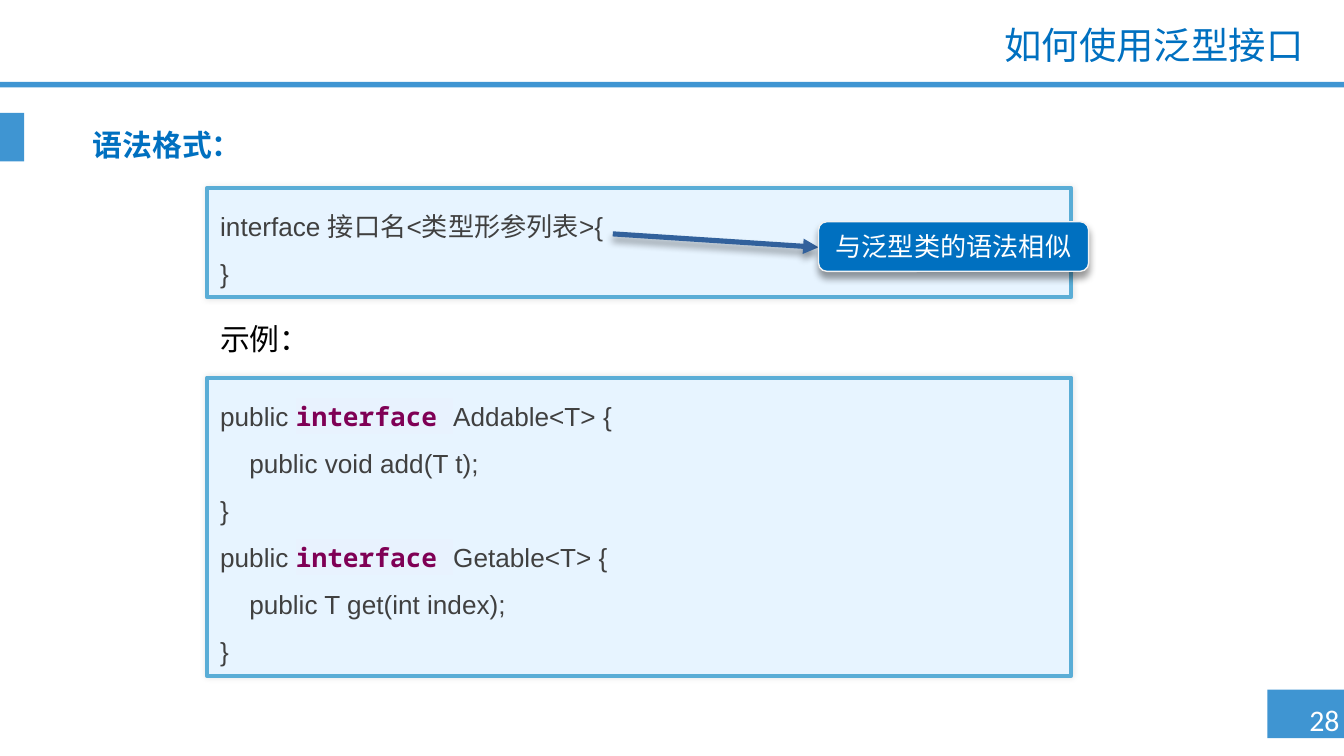
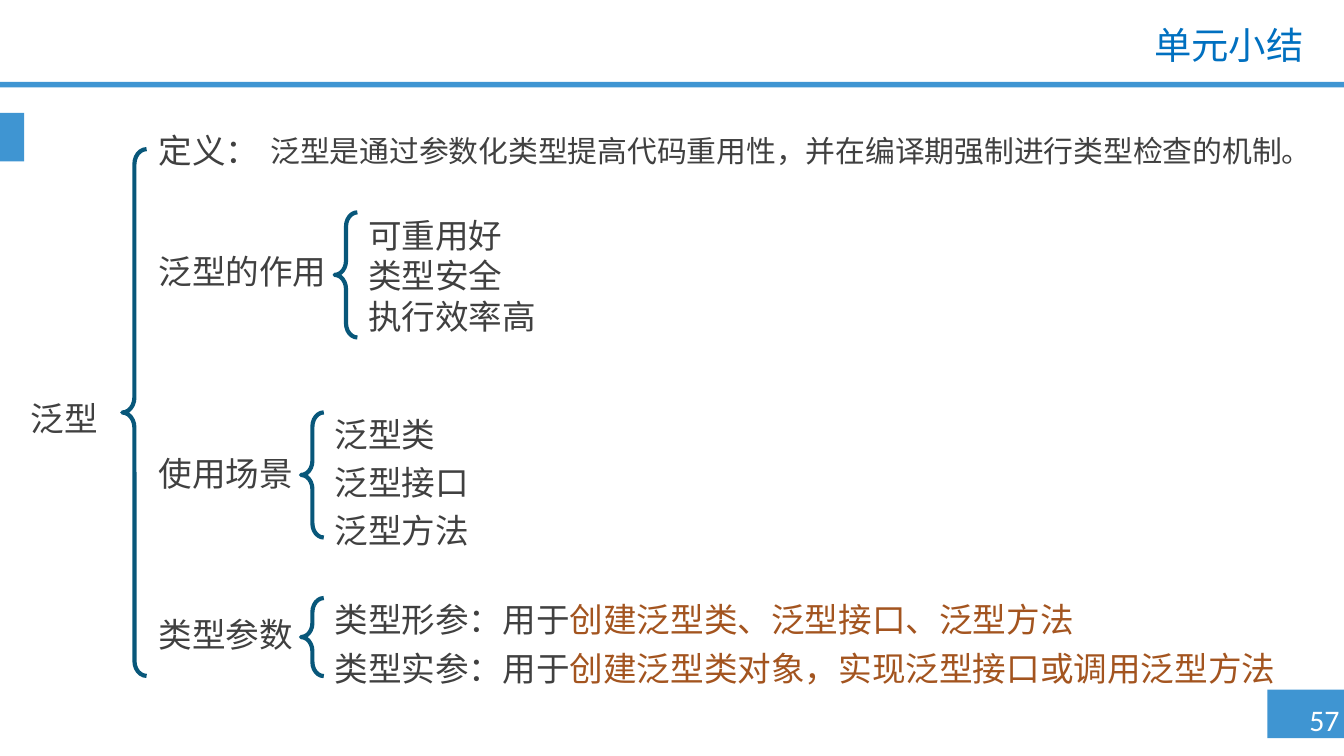
from lxml import etree
from pptx import Presentation
from pptx.dml.color import RGBColor
from pptx.enum.shapes import MSO_CONNECTOR, MSO_SHAPE
from pptx.enum.text import MSO_ANCHOR, MSO_AUTO_SIZE, PP_ALIGN
from pptx.oxml.ns import qn
from pptx.util import Pt

RECTANGLE = MSO_SHAPE.RECTANGLE
ROUNDED = MSO_SHAPE.ROUNDED_RECTANGLE
LEFT_BRACE = MSO_SHAPE.LEFT_BRACE
STRAIGHT = MSO_CONNECTOR.STRAIGHT
TOP, MIDDLE = MSO_ANCHOR.TOP, MSO_ANCHOR.MIDDLE
LEFT, CENTER, RIGHT = PP_ALIGN.LEFT, PP_ALIGN.CENTER, PP_ALIGN.RIGHT
NO_AUTOFIT = MSO_AUTO_SIZE.NONE

BAND = "3F95D2"
ACCENT = "0070C0"
INK = "404040"
WHITE = "FFFFFF"
PANEL_FILL, PANEL_LINE = "E7F4FF", "5AADD6"
KEYWORD, KEYWORD_BACK = "7F0055", "E8F2FE"
BRACE = "08577A"
ARROW = "32619C"
EMPHASIS = "A3541F"

GLOW = {"alpha": 10, "blur": 3, "distance": 0, "angle": 0}
DROP = {"alpha": 40, "blur": 4, "distance": 3, "angle": 90}

TITLE_ONLY, TITLE_AND_SUBTITLE = 5, 0
CODE_INDENT = 15.6
LABEL_TOP, LABEL_STEP = 66.2, 21.6


def color(value):
    """Turn a hex string into a colour."""
    return RGBColor.from_string(value)


def place(shape, box):
    """Move a shape to a box of left, top, width and height."""
    shape.left, shape.top, shape.width, shape.height = map(Pt, box)


def cast_shadow(effects, shadow):
    """Add an outer shadow to an effect list."""
    outer = etree.SubElement(
        effects, qn("a:outerShdw"), blurRad=str(Pt(shadow["blur"])),
        dist=str(Pt(shadow["distance"])), dir=str(shadow["angle"] * 60000),
        algn="ctr", rotWithShape="0")
    black = etree.SubElement(outer, qn("a:srgbClr"), val="000000")
    etree.SubElement(black, qn("a:alpha"), val=str(shadow["alpha"] * 1000))


def set_font(font, size=None, fill=None, name=None, bold=None):
    """Set the given traits of a paragraph or run font."""
    if size:
        font.size = Pt(size)
    if fill:
        font.color.rgb = color(fill)
    if name:
        font.name = name
    if bold is not None:
        font.bold = bold


def highlight(run, value):
    """Put a highlight colour behind a run."""
    mark = etree.Element(qn("a:highlight"))
    etree.SubElement(mark, qn("a:srgbClr"), val=value)
    run.font.fill._xPr.find(qn("a:solidFill")).addnext(mark)


def write(shape, lines, size, fill=INK, name="Arial", bold=False, align=LEFT,
          anchor=TOP, spacing=1.0, before=0, wrap=True):
    """Write lines, each a string or a list of (text, style) runs."""
    frame = shape.text_frame
    frame.auto_size = NO_AUTOFIT
    frame.word_wrap = wrap
    frame.vertical_anchor = anchor
    for index, line in enumerate(lines):
        paragraph = frame.add_paragraph() if index else frame.paragraphs[0]
        paragraph.alignment = align
        paragraph.line_spacing = spacing
        paragraph.space_before = Pt(before)
        set_font(paragraph.font, size, fill, name, bold)
        for text, style in [(line, {})] if isinstance(line, str) else line:
            run = paragraph.add_run()
            run.text = text
            set_font(run.font, **style)


def add_text(slide, box, lines, size, **style):
    """Add a text box."""
    shape = slide.shapes.add_textbox(*map(Pt, box))
    write(shape, lines, size, **style)
    return shape


def add_box(slide, kind, box, fill=None, line=None, width=0, shadow=None):
    """Add a preset shape with its fill, outline and shadow."""
    shape = slide.shapes.add_shape(kind, *map(Pt, box))
    if fill:
        shape.fill.solid()
        shape.fill.fore_color.rgb = color(fill)
    else:
        shape.fill.background()
    if line:
        shape.line.color.rgb = color(line)
        shape.line.width = Pt(width)
    else:
        shape.line.fill.background()
    shape.shadow.inherit = False
    if shadow:
        cast_shadow(shape._element.spPr.find(qn("a:effectLst")), shadow)
    return shape


def add_code_panel(slide, top, height, lines):
    """Add a light panel that holds lines of code."""
    panel = add_box(slide, ROUNDED, (110.9, top, 463, height),
                    PANEL_FILL, PANEL_LINE, 2.25, GLOW)
    panel.adjustments[0] = 0
    write(panel, lines, 14, spacing=1.5)
    return panel


def add_brace(slide, box):
    """Add a left brace."""
    brace = add_box(slide, LEFT_BRACE, box, line=BRACE, width=2.25)
    brace.adjustments[0], brace.adjustments[1] = 0.62, 0.5


def add_arrow(slide, start, end):
    """Add a straight arrow between two points."""
    arrow = slide.shapes.add_connector(STRAIGHT, *map(Pt, start + end))
    arrow.line.color.rgb = color(ARROW)
    arrow.line.width = Pt(2.75)
    etree.SubElement(arrow.line._get_or_add_ln(), qn("a:tailEnd"), type="triangle")
    cast_shadow(etree.SubElement(arrow._element.spPr, qn("a:effectLst")), DROP)


def add_page(presentation, layout, title, number):
    """Add a slide with its bands, number and title."""
    slide = presentation.slides.add_slide(presentation.slide_layouts[layout])
    for box in ((679, 369.4, 41, 26), (0, 43.9, 720, 2.9), (0, 60.5, 13, 26)):
        add_box(slide, RECTANGLE, box, BAND)
    add_text(slide, (692.6, 372.2, 37.4, 26.6), [f"{number} "], 16,
             fill=WHITE, name="Calibri", align=CENTER, wrap=False)
    place(slide.shapes.title, (172.8, 10.8, 532.8, 28.8))
    write(slide.shapes.title, [title], 20, fill=ACCENT, align=RIGHT,
          anchor=MIDDLE, spacing=0.9)
    return slide


def interface_code(name, method):
    """Give the code lines of one generic interface."""
    keyword = {"name": "Noto Sans Mono", "fill": KEYWORD, "bold": True}
    return [[("public ", {}), ("interface ", keyword), (f"{name}<T> {{", {})],
            method, "}"]


def build_interface_slide(presentation):
    """Build the slide on generic interface syntax."""
    slide = add_page(presentation, TITLE_AND_SUBTITLE, "如何使用泛型接口", 28)
    subtitle = slide.placeholders[1]
    place(subtitle, (42.5, 66.2, 589.7, 28.1))
    write(subtitle, ["语法格式："], 16, fill=ACCENT, name="Noto Sans CJK SC",
          bold=True, spacing=0.9, before=10)

    add_code_panel(slide, 100.8, 58.3, ["interface 接口名<类型形参列表>{", "}"])
    code = (interface_code("Addable", "public void add(T t);")
            + interface_code("Getable", "public T get(int index);"))
    panel = add_code_panel(slide, 202.3, 159.8, code)
    paragraphs = panel.text_frame.paragraphs
    for first in (0, 3):
        highlight(paragraphs[first].runs[1], KEYWORD_BACK)
        paragraphs[first + 1]._p.get_or_add_pPr().set("marL", str(Pt(CODE_INDENT)))

    add_arrow(slide, (328.3, 125.3), (438.5, 132.5))
    callout = add_box(slide, ROUNDED, (438.5, 118.8, 144.7, 26.6),
                      ACCENT, "F2F2F2", 0.75, DROP)
    write(callout, ["与泛型类的语法相似"], 14, fill=WHITE, align=CENTER, anchor=MIDDLE)
    add_text(slide, (110.9, 168.5, 238.3, 26.6), ["示例："], 16, fill="000000")


def build_summary_slide(presentation):
    """Build the brace tree that sums up the unit."""
    slide = add_page(presentation, TITLE_ONLY, "单元小结", 57)
    labels = {0: "定义：", 3: "泛型的作用", 8: "使用场景", 12: "类型参数"}
    for row, label in labels.items():
        add_text(slide, (77.8, LABEL_TOP + row * LABEL_STEP, 110, 28.8), [label], 18)
    add_text(slide, (2.2, 209.5, 64.8, 28.8), ["泛型"], 18, align=CENTER)
    add_text(slide, (133.2, 67.7, 565.9, 26.6),
             ["泛型是通过参数化类型提高代码重用性，并在编译期强制进行类型检查的机制。"],
             16, align=CENTER)

    for box in ((65.5, 79.9, 13, 282.2), (179.3, 113.8, 12.2, 67),
                (161.3, 221, 12.2, 67), (161.3, 320.4, 12.2, 41.8)):
        add_brace(slide, box)

    emphasis = {"fill": EMPHASIS}
    add_text(slide, (190.1, 111.6, 114.5, 72.7),
             ["可重用好", "类型安全", "执行效率高"], 18)
    add_text(slide, (172.1, 213.8, 137.5, 83.5),
             ["泛型类", "泛型接口", "泛型方法"], 18, spacing=1.2)
    add_text(slide, (172.1, 313.2, 527, 59.8),
             [[("类型形参：用于", {}), ("创建泛型类、泛型接口、泛型方法", emphasis)],
              [("类型实参：用于", {}),
               ("创建泛型类对象，实现泛型接口或调用泛型方法", emphasis)]],
             18, spacing=1.2)


def main():
    """Build and save the presentation."""
    presentation = Presentation()
    presentation.slide_width, presentation.slide_height = Pt(720), Pt(405)
    build_interface_slide(presentation)
    build_summary_slide(presentation)
    presentation.save("out.pptx")


if __name__ == "__main__":
    main()
